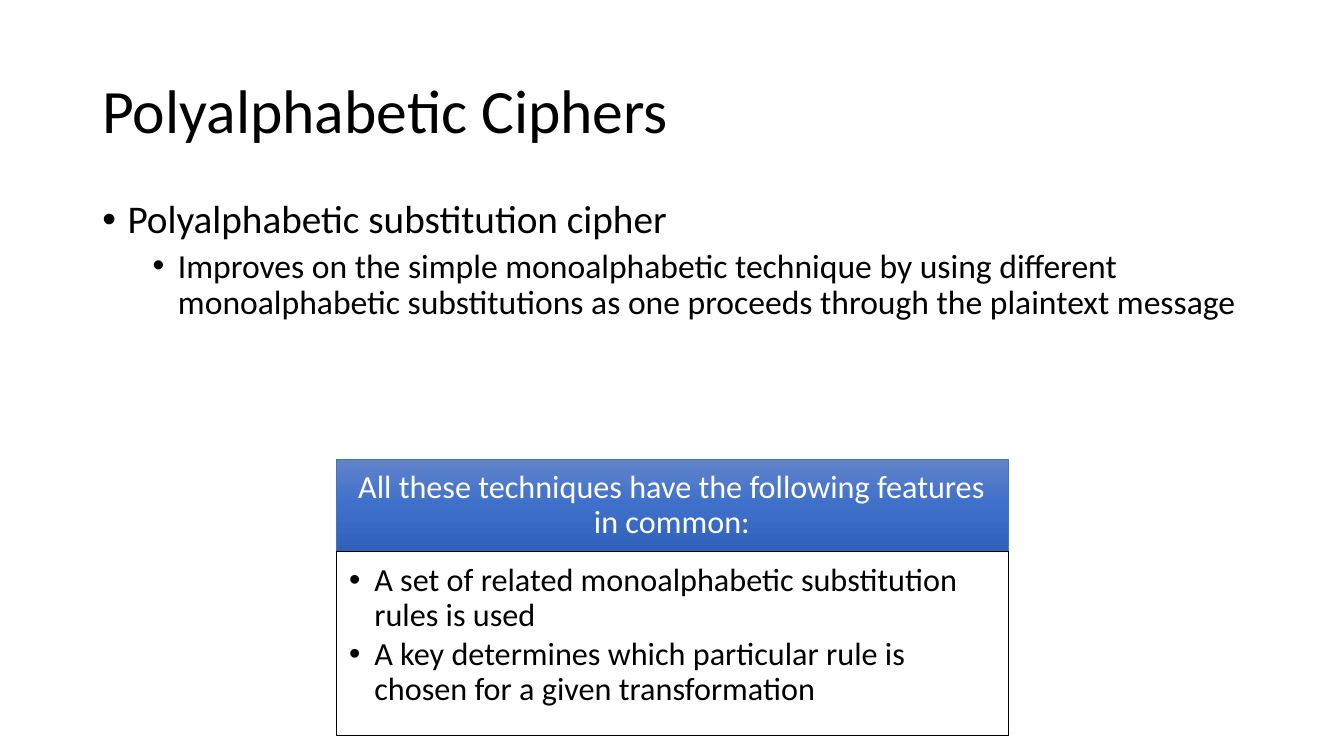
"""Build the slide on polyalphabetic ciphers."""
from copy import deepcopy
from dataclasses import dataclass

from lxml.etree import SubElement
from pptx import Presentation
from pptx.dml.color import RGBColor
from pptx.dml.fill import FillFormat
from pptx.enum.shapes import MSO_SHAPE
from pptx.enum.text import MSO_ANCHOR, PP_ALIGN
from pptx.oxml.ns import qn
from pptx.presentation import Presentation as Deck
from pptx.shapes.autoshape import Shape
from pptx.slide import Slide
from pptx.util import Inches, Pt

SLIDE_WIDTH, SLIDE_HEIGHT = Inches(13.33), Inches(7.5)
COLUMN, ROW = SLIDE_WIDTH / 160, SLIDE_HEIGHT / 90
FONT = "Calibri"
LINE_SPACING = 0.9
BLACK = RGBColor(0x00, 0x00, 0x00)
WHITE = RGBColor(0xFF, 0xFF, 0xFF)
BLUE = RGBColor(0x44, 0x72, 0xC4)
LIGHT_BLUE = RGBColor(0x61, 0x83, 0xCB)
MIDDLE_BLUE = RGBColor(0x3E, 0x70, 0xCA)
DARK_BLUE = RGBColor(0x30, 0x62, 0xBB)


@dataclass(frozen=True)
class Line:
    text: str
    size: float
    color: RGBColor = BLACK
    level: int = 0
    bullet_indent: float = 0
    space_before: float = 0
    align: PP_ALIGN = PP_ALIGN.LEFT


@dataclass(frozen=True)
class Block:
    column: float
    row: float
    columns: float
    rows: float
    lines: tuple[Line, ...]
    anchor: MSO_ANCHOR = MSO_ANCHOR.TOP
    insets: tuple[float, float, float, float] = (0.1, 0.05, 0.1, 0.05)
    fill: tuple[RGBColor, ...] = ()
    border: RGBColor = BLACK


FEATURES = (
    "A set of related monoalphabetic substitution rules is used",
    "A key determines which particular rule is chosen for a given transformation",
)
BLOCKS = (
    Block(11, 4.8, 138, 17.4, (Line("Polyalphabetic Ciphers", 44),), MSO_ANCHOR.MIDDLE),
    Block(11, 23.2, 140.8, 29.9, (
        Line("Polyalphabetic substitution cipher", 28, bullet_indent=0.25),
        Line("Improves on the simple monoalphabetic technique by using different "
             "monoalphabetic substitutions as one proceeds through the plaintext message",
             24, level=1, bullet_indent=0.75, space_before=5),
    )),
    Block(40, 54.7, 80, 10.9, (
        Line("All these techniques have the following features in common:", 23, WHITE,
             align=PP_ALIGN.CENTER),
    ), MSO_ANCHOR.MIDDLE, (0.18, 0.1, 0.18, 0.1),
        (LIGHT_BLUE, MIDDLE_BLUE, DARK_BLUE), BLUE),
    Block(40, 65.6, 80, 22, tuple(
        Line(feature, 23, level=1, bullet_indent=0.25, space_before=3 if index else 0)
        for index, feature in enumerate(FEATURES)
    ), insets=(0.13, 0.13, 0.18, 0.2), fill=(WHITE,)),
)


def paint(fill: FillFormat, shape: Shape, colors: tuple[RGBColor, ...]) -> None:
    """Fill with one colour, or with an even downward gradient of several."""
    if len(colors) == 1:
        fill.solid()
        fill.fore_color.rgb = colors[0]
        return
    fill.gradient()
    fill.gradient_angle = 270
    stop_list = shape._element.spPr.find(qn("a:gradFill")).find(qn("a:gsLst"))
    while len(stop_list) < len(colors):
        stop_list.append(deepcopy(stop_list[0]))
    for index, (stop, color) in enumerate(zip(fill.gradient_stops, colors)):
        stop.position = index / (len(colors) - 1)
        stop.color.rgb = color


def write_lines(shape: Shape, lines: tuple[Line, ...]) -> None:
    """Write the lines as formatted paragraphs."""
    frame = shape.text_frame
    frame.text = "\n".join(line.text for line in lines)
    for paragraph, line in zip(frame.paragraphs, lines):
        paragraph.level = line.level
        paragraph.alignment = line.align
        paragraph.line_spacing = LINE_SPACING
        paragraph.space_before = Pt(line.space_before)
        if line.bullet_indent:
            properties = paragraph._p.get_or_add_pPr()
            properties.set("marL", str(Inches(line.bullet_indent)))
            properties.set("indent", str(-Inches(0.25)))
            SubElement(properties, qn("a:buFont"), typeface="Arial")
            SubElement(properties, qn("a:buChar"), char="•")
        for run in paragraph.runs:
            run.font.name = FONT
            run.font.size = Pt(line.size)
            run.font.color.rgb = line.color


def add_block(slide: Slide, block: Block) -> None:
    """Add a text box, or a bordered rectangle when the block has a fill."""
    bounds = (round(block.column * COLUMN), round(block.row * ROW),
              round(block.columns * COLUMN), round(block.rows * ROW))
    if block.fill:
        shape = slide.shapes.add_shape(MSO_SHAPE.RECTANGLE, *bounds)
        shape.shadow.inherit = False
        paint(shape.fill, shape, block.fill)
        shape.line.color.rgb = block.border
        shape.line.width = Pt(0.5)
    else:
        shape = slide.shapes.add_textbox(*bounds)
    frame = shape.text_frame
    frame.word_wrap = True
    frame.vertical_anchor = block.anchor
    (frame.margin_left, frame.margin_top,
     frame.margin_right, frame.margin_bottom) = map(Inches, block.insets)
    write_lines(shape, block.lines)


def build() -> Deck:
    """Create the presentation with its single slide."""
    presentation = Presentation()
    presentation.slide_width, presentation.slide_height = SLIDE_WIDTH, SLIDE_HEIGHT
    slide = presentation.slides.add_slide(presentation.slide_layouts[6])
    for block in BLOCKS:
        add_block(slide, block)
    return presentation


if __name__ == "__main__":
    build().save("out.pptx")
